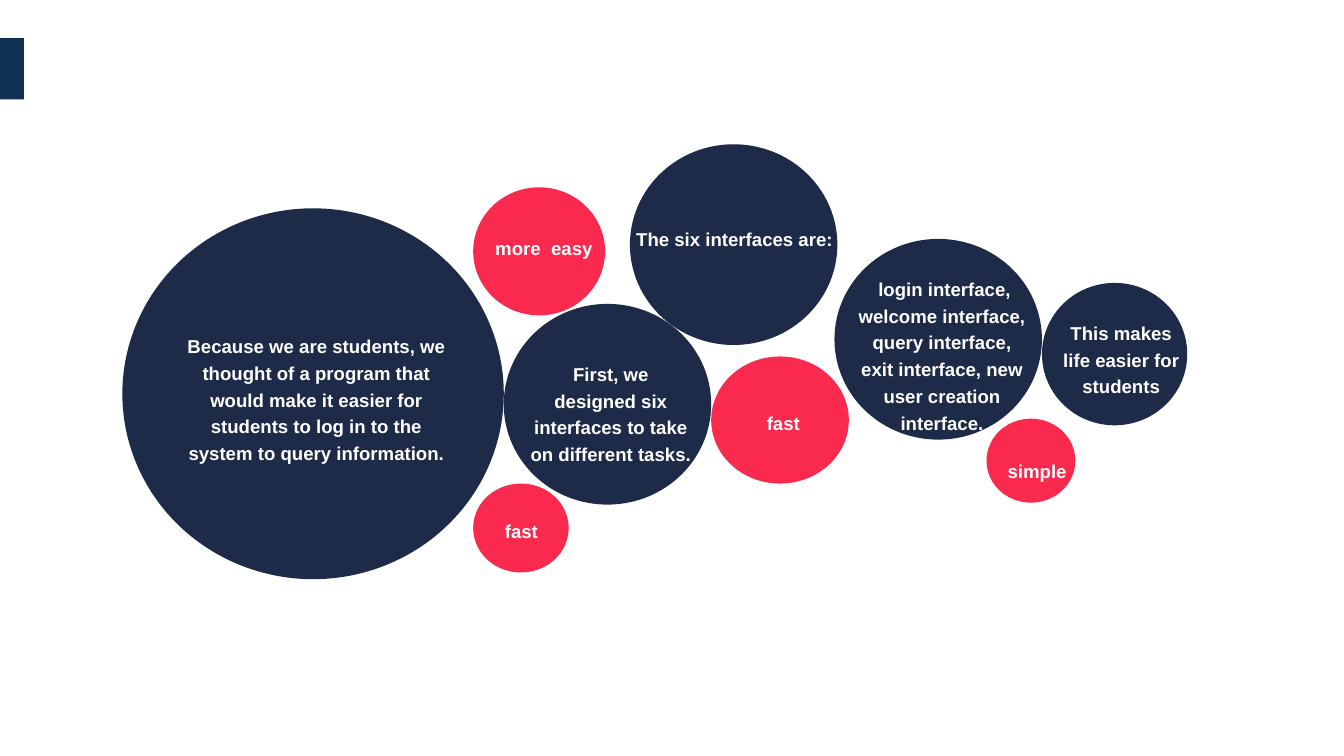
from collections import namedtuple

from pptx import Presentation
from pptx.dml.color import RGBColor
from pptx.enum.shapes import MSO_SHAPE
from pptx.enum.text import MSO_AUTO_SIZE, PP_ALIGN
from pptx.util import Inches, Pt

OVAL = MSO_SHAPE.OVAL
RECTANGLE = MSO_SHAPE.RECTANGLE
CENTER = PP_ALIGN.CENTER
FIT_SHAPE = MSO_AUTO_SIZE.SHAPE_TO_FIT_TEXT

COLORS = {"accent": "103154", "navy": "1E2B48", "red": "F92A4D", "white": "FFFFFF"}
BLANK_LAYOUT = 6
LINE_HEIGHT = 0.38
MEDIUM = (2.17, 2.1)

Box = namedtuple("Box", "left top width height")
Bubble = namedtuple("Bubble", "color circle label text")

BUBBLES = [
    Bubble("navy", Box(0, 0.67, 3.99, 3.88), Box(0.47, 1.9, 3.12, 1.51),
           "Because we are students, we thought of a program that would make it "
           "easier for students to log in to the system to query information."),
    Bubble("red", Box(3.67, 0.45, 1.38, 1.34), Box(3.8, 0.87, 1.22, LINE_HEIGHT),
           "more  easy"),
    Bubble("navy", Box(3.99, 1.67, *MEDIUM), Box(4.17, 2.19, 1.88, 1.23),
           "First, we designed six interfaces to take on different tasks."),
    Bubble("red", Box(3.67, 3.55, 1, 0.93), Box(3.9, 3.83, 0.55, LINE_HEIGHT), "fast"),
    Bubble("navy", Box(5.31, 0, *MEDIUM), Box(5.25, 0.78, 2.31, LINE_HEIGHT),
           "The six interfaces are:"),
    Bubble("red", Box(6.16, 2.22, 1.44, 1.33), Box(6.64, 2.7, 0.55, LINE_HEIGHT), "fast"),
    Bubble("navy", Box(7.45, 0.99, *MEDIUM), Box(7.56, 1.3, 2.03, 1.8),
           " login interface, welcome interface, query interface, exit interface, "
           "new user creation interface."),
    Bubble("red", Box(9.04, 2.87, 0.93, 0.88), Box(9.16, 3.21, 0.82, LINE_HEIGHT), "simple"),
    Bubble("navy", Box(9.62, 1.45, 1.52, 1.49), Box(9.72, 1.76, 1.46, 0.95),
           "This makes life easier for students"),
]


def rgb(name):
    return RGBColor.from_string(COLORS[name])


def place_in(region, part):
    return Box(region.left + part.left, region.top + part.top, part.width, part.height)


def add_filled_shape(page, kind, box, color):
    shape = page.shapes.add_shape(kind, *map(Inches, box))
    shape.shadow.inherit = False
    shape.fill.solid()
    shape.fill.fore_color.rgb = rgb(color)
    shape.line.fill.background()


def add_label(page, box, text):
    frame = page.shapes.add_textbox(*map(Inches, box)).text_frame
    frame.word_wrap = box.height > LINE_HEIGHT
    frame.auto_size = FIT_SHAPE
    frame.text = text
    para = frame.paragraphs[0]
    para.alignment = CENTER
    para.line_spacing = 1.2
    font = para.runs[0].font
    font.name = "Arial"
    font.size = Pt(14)
    font.bold = True
    font.color.rgb = rgb("white")


def add_bubble_cluster(page, region):
    for bubble in BUBBLES:
        add_filled_shape(page, OVAL, place_in(region, bubble.circle), bubble.color)
    for bubble in BUBBLES:
        add_label(page, place_in(region, bubble.label), bubble.text)


def main():
    deck = Presentation()
    deck.slide_width = Inches(14.06)
    deck.slide_height = Inches(7.91)
    page = deck.slides.add_slide(deck.slide_layouts[BLANK_LAYOUT])
    add_filled_shape(page, RECTANGLE, Box(0, 0.4, 0.25, 0.64), "accent")
    add_bubble_cluster(page, Box(1.28, 1.51, 11.14, 4.55))
    deck.save("out.pptx")


if __name__ == "__main__":
    main()
